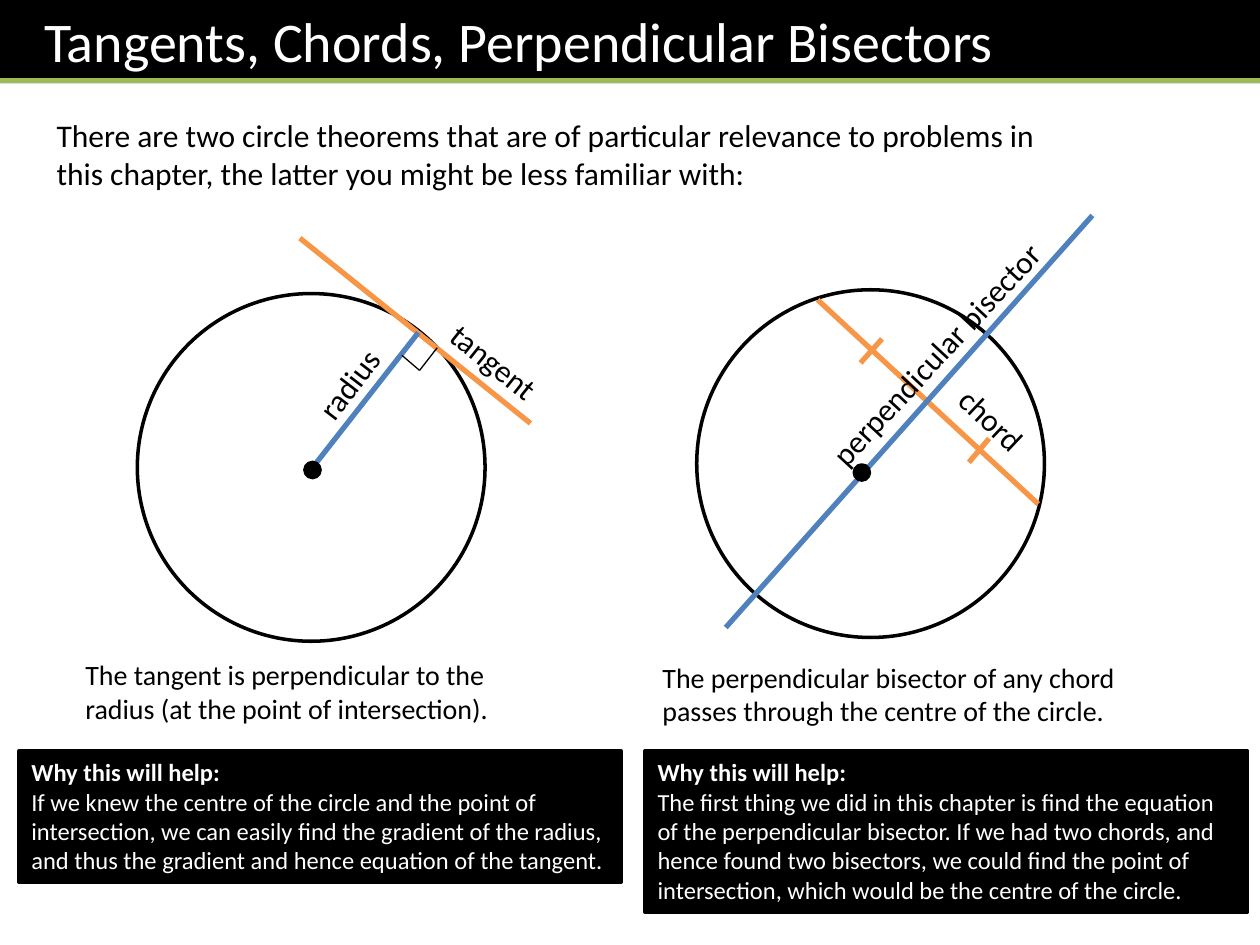
from pptx import Presentation
from pptx.dml.color import RGBColor
from pptx.enum.shapes import MSO_CONNECTOR as Connector, MSO_SHAPE as Shape
from pptx.enum.text import MSO_ANCHOR as Anchor, MSO_AUTO_SIZE as AutoSize, PP_ALIGN as Align
from pptx.oxml.ns import qn
from pptx.util import Inches, Pt
from lxml.etree import SubElement

BLACK = RGBColor(0x00, 0x00, 0x00)
WHITE = RGBColor(0xFF, 0xFF, 0xFF)
GREEN = RGBColor(0x9B, 0xBB, 0x59)
ORANGE = RGBColor(0xF7, 0x96, 0x46)
BLUE = RGBColor(0x4F, 0x81, 0xBD)


class TheoremPage:
    font = "Calibri"
    circle_size = 2.76
    dot_size = 0.12

    def __init__(self, deck):
        self.page = deck.slides.add_slide(deck.slide_layouts[6])

    def fill_text(self, box, paragraphs, size, color, align=Align.LEFT, bold_first=False):
        frame = box.text_frame
        frame.word_wrap = True
        frame.auto_size = AutoSize.SHAPE_TO_FIT_TEXT
        frame.vertical_anchor = Anchor.TOP
        for index, text in enumerate(paragraphs):
            para = frame.paragraphs[0] if index == 0 else frame.add_paragraph()
            para.text = text
            para.alignment = align
            para.font.name = self.font
            para.font.size = Pt(size)
            para.font.color.rgb = color
            para.font.bold = bold_first and index == 0

    def shape(self, kind, left, top, width, height, fill, outline=BLACK):
        shape = self.page.shapes.add_shape(
            kind, Inches(left), Inches(top), Inches(width), Inches(height))
        shape.shadow.inherit = False
        shape.fill.solid()
        shape.fill.fore_color.rgb = fill
        if outline is None:
            shape.line.fill.background()
        else:
            shape.line.color.rgb = outline
            shape.line.width = Pt(2)
        return shape

    def title(self, text):
        bar = self.shape(Shape.RECTANGLE, 0, 0, 10, 0.66, BLACK, None)
        bar.text_frame.margin_left = Inches(0.35)
        self.fill_text(bar, [text], 32, WHITE)
        self.line((0, 0.64), (10, 0.64), GREEN)

    def circle(self, left, top):
        self.shape(Shape.OVAL, left, top, self.circle_size, self.circle_size, WHITE)

    def dot(self, left, top):
        self.shape(Shape.OVAL, left, top, self.dot_size, self.dot_size, BLACK)

    def line(self, start, end, color, width=3):
        line = self.page.shapes.add_connector(
            Connector.STRAIGHT, *(Inches(value) for value in (*start, *end)))
        line.line.color.rgb = color
        line.line.width = Pt(width)
        SubElement(line._element.spPr, qn("a:effectLst"))

    def text(self, text, left, top, width, height, size, align=Align.LEFT):
        box = self.page.shapes.add_textbox(
            Inches(left), Inches(top), Inches(width), Inches(height))
        self.fill_text(box, [text], size, BLACK, align)
        return box

    def label(self, text, left, top, width, angle):
        self.text(text, left, top, width, 0.4, 18, Align.CENTER).rotation = angle

    def reason(self, left, height, text):
        panel = self.shape(Shape.RECTANGLE, left, 5.96, 4.78, height, BLACK)
        self.fill_text(panel, ["Why this will help:", text], 14, WHITE, bold_first=True)


def main():
    deck = Presentation()
    deck.slide_width, deck.slide_height = Inches(10), Inches(7.5)
    page = TheoremPage(deck)
    page.title("Tangents, Chords, Perpendicular Bisectors")

    page.circle(1.09, 2.33)
    page.line((2.38, 1.89), (4.21, 3.36), ORANGE)
    page.line((2.45, 3.75), (3.32, 2.64), BLUE)
    for corner_end in ((3.47, 2.76), (3.19, 2.82)):
        page.line((3.33, 2.94), corner_end, BLACK, 0.75)
    page.label("radius", 2.35, 2.85, 0.83, 307.2)
    page.label("tangent", 3.32, 2.67, 1.2, 38.7)

    page.circle(5.53, 2.3)
    page.line((6.49, 2.38), (8.24, 4), ORANGE)
    page.line((5.76, 4.98), (8.67, 1.71), BLUE)
    page.line((7.69, 3.67), (7.85, 3.48), ORANGE)
    page.line((6.83, 2.88), (7, 2.69), ORANGE)
    page.label("chord", 7.27, 3.13, 1.2, 43.4)
    page.label("perpendicular bisector", 6.01, 2.61, 2.83, 312.8)

    page.dot(2.42, 3.67)
    page.dot(6.78, 3.69)

    page.text("The tangent is perpendicular to the radius (at the point of intersection).",
              0.58, 5.17, 3.6, 0.64, 16)
    page.text("The perpendicular bisector of any chord passes through the centre of the circle.",
              5.16, 5.19, 3.93, 0.64, 16)
    page.text("There are two circle theorems that are of particular relevance to problems in "
              "this chapter, the latter you might be less familiar with:",
              0.35, 0.87, 8.11, 0.71, 18)

    page.reason(0.15, 1.04,
                "If we knew the centre of the circle and the point of intersection, we can "
                "easily find the gradient of the radius, and thus the gradient and hence "
                "equation of the tangent.")
    page.reason(5.12, 1.28,
                "The first thing we did in this chapter is find the equation of the "
                "perpendicular bisector. If we had two chords, and hence found two bisectors, "
                "we could find the point of intersection, which would be the centre of the "
                "circle.")
    deck.save("out.pptx")


if __name__ == "__main__":
    main()
